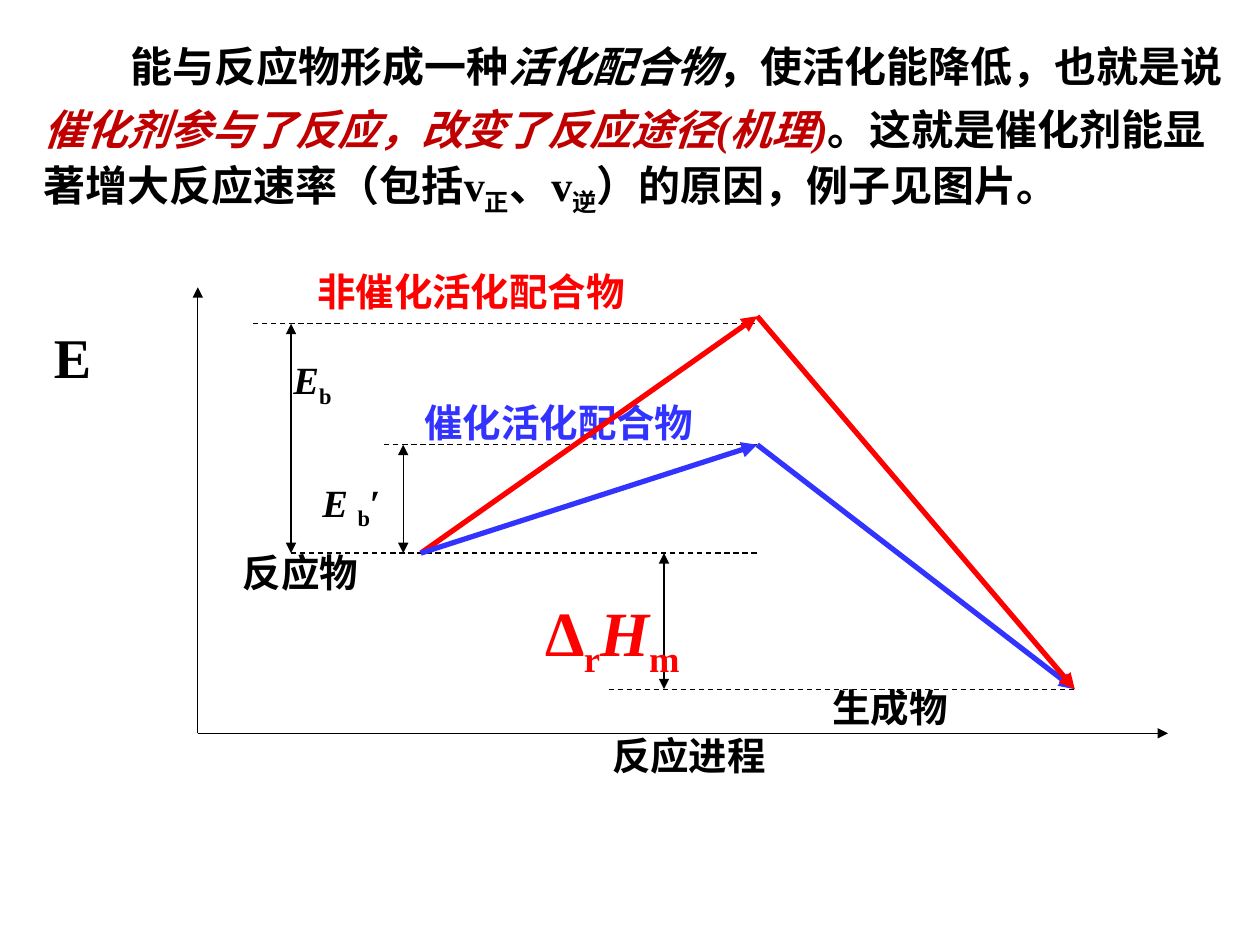
"""Build the slide on how a catalyst lowers the activation energy."""
from lxml import etree
from pptx import Presentation
from pptx.dml.color import RGBColor
from pptx.enum.dml import MSO_LINE
from pptx.enum.shapes import MSO_CONNECTOR
from pptx.enum.text import PP_ALIGN
from pptx.oxml.ns import qn
from pptx.util import Inches, Pt

STRAIGHT = MSO_CONNECTOR.STRAIGHT
DASH = MSO_LINE.DASH
JUSTIFY = PP_ALIGN.JUSTIFY
FONT = "Times New Roman"
BLACK, RED, BLUE, DARK_RED = "000000", "FF0000", "3333FF", "C00000"

SUBSCRIPT = {"baseline": "-25000"}
ITALIC = {"italic": True}

INTRODUCTION = [
    ("能与反应物形成一种", {}),
    ("活化配合物", ITALIC),
    ("，使活化能降低，也就是说", {}),
    ("催化剂参与了反应，改变了反应途径(机理)", {"italic": True, "color": DARK_RED}),
    ("。这就是催化剂能显著增大反应速率（包括v", {}),
    ("正", SUBSCRIPT),
    ("、v", {}),
    ("逆", SUBSCRIPT),
    ("）的原因，例子见图片。", {}),
]

ORIGIN, AXIS_TOP, AXIS_END = (1.57, 5.82), 2.28, 9.27
START, PEAK, END = 3.34, 6.01, 8.53
LEVELS = {"uncatalysed": 2.57, "catalysed": 3.53, "reactants": 4.39, "products": 5.47}
RED_PEAK = (PEAK, 2.51)
BLUE_PEAK = (PEAK, LEVELS["catalysed"])
REACTANTS = (START, LEVELS["reactants"])
PRODUCTS = (END, LEVELS["products"])

LEVEL_SPANS = [
    ("products", 4.83, END),
    ("catalysed", 3.05, PEAK),
    ("uncatalysed", 2.01, PEAK),
    ("reactants", 2.31, PEAK),
]
ENERGY_GAPS = [
    (5.27, "reactants", "products"),
    (3.2, "catalysed", "reactants"),
    (2.31, "uncatalysed", "reactants"),
]
FALLING_PATHS = [(BLUE_PEAK, PRODUCTS, BLUE), (RED_PEAK, PRODUCTS, RED)]
RISING_PATHS = [(REACTANTS, RED_PEAK, RED), (REACTANTS, BLUE_PEAK, BLUE)]

LABELS = [
    ((2.42, 2.08, 7.33, 0.47), 22, RED, [("非催化活化配合物", {})]),
    ((3.27, 3.12, 6.44, 0.47), 22, BLUE, [("催化活化配合物", {})]),
    ((6.51, 5.38, 2.96, 0.47), 22, BLACK, [("生成物", {})]),
    ((4.76, 5.76, 4.45, 0.47), 22, BLACK, [("反应进程", {})]),
    ((0.33, 2.51, 0.89, 0.63), 32, BLACK, [("E", {})]),
    ((2.23, 2.78, 1.48, 0.47), 22, BLACK, [("E", ITALIC), ("b", SUBSCRIPT)]),
    ((2.46, 3.75, 1.78, 0.47), 22, BLACK,
     [("E ", ITALIC), ("b", SUBSCRIPT), ("′", {})]),
    ((4.23, 4.66, 2.52, 0.7), 36, RED,
     [("∆", {}), ("r", SUBSCRIPT), ("H", ITALIC), ("m", SUBSCRIPT)]),
    ((1.83, 4.31, 3.26, 0.47), 22, BLACK, [("反应物", {})]),
]


def rgb(value):
    return RGBColor.from_string(value)


def write_runs(paragraph, runs, size, color):
    for text, changes in runs:
        run = paragraph.add_run()
        run.text = text
        values = {"name": FONT, "size": Pt(size), "bold": True,
                  "italic": changes.get("italic", False)}
        for name, value in values.items():
            setattr(run.font, name, value)
        run.font.color.rgb = rgb(changes.get("color", color))
        if "baseline" in changes:
            run.font._element.set("baseline", changes["baseline"])


def add_text(slide, box, size, color, runs):
    shape = slide.shapes.add_textbox(*map(Inches, box))
    shape.text_frame.word_wrap = True
    paragraph = shape.text_frame.paragraphs[0]
    paragraph.alignment = JUSTIFY
    write_runs(paragraph, runs, size, color)
    return shape


def add_line(slide, start, end, color=BLACK, width=0.75, dash=None, arrows=()):
    connector = slide.shapes.add_connector(STRAIGHT, *map(Inches, (*start, *end)))
    connector.line.color.rgb = rgb(color)
    connector.line.width = Pt(width)
    if dash:
        connector.line.dash_style = dash
    outline = connector.line._get_or_add_ln()
    for arrow in arrows:
        etree.SubElement(outline, qn("a:" + arrow), type="triangle")
    etree.SubElement(connector._element.spPr, qn("a:effectLst"))


def add_paths(slide, paths):
    for start, end, color in paths:
        add_line(slide, start, end, color, 3, arrows=["tailEnd"])


def add_introduction(slide):
    shape = add_text(slide, (0.25, 0.17, 9.58, 1.62), 24, BLACK, INTRODUCTION)
    shape.fill.solid()
    shape.fill.fore_color.rgb = rgb("FFFFFF")
    paragraph = shape.text_frame.paragraphs[0]
    paragraph.alignment = PP_ALIGN.LEFT
    paragraph.line_spacing = Pt(36)
    paragraph._p.get_or_add_pPr().set("indent", str(Inches(0.69)))


def add_diagram(slide):
    add_paths(slide, FALLING_PATHS)
    for level, left, right in LEVEL_SPANS:
        height = LEVELS[level]
        add_line(slide, (left, height), (right, height), dash=DASH)
    for left, upper, lower in ENERGY_GAPS:
        add_line(slide, (left, LEVELS[upper]), (left, LEVELS[lower]),
                 arrows=["headEnd", "tailEnd"])
    for end in [(AXIS_END, ORIGIN[1]), (ORIGIN[0], AXIS_TOP)]:
        add_line(slide, ORIGIN, end, arrows=["tailEnd"])
    for label in LABELS:
        add_text(slide, *label)
    add_paths(slide, RISING_PATHS)


def main():
    presentation = Presentation()
    presentation.slide_width, presentation.slide_height = Inches(10), Inches(7.5)
    slide = presentation.slides.add_slide(presentation.slide_layouts[6])
    add_introduction(slide)
    add_diagram(slide)
    presentation.save("out.pptx")


if __name__ == "__main__":
    main()
